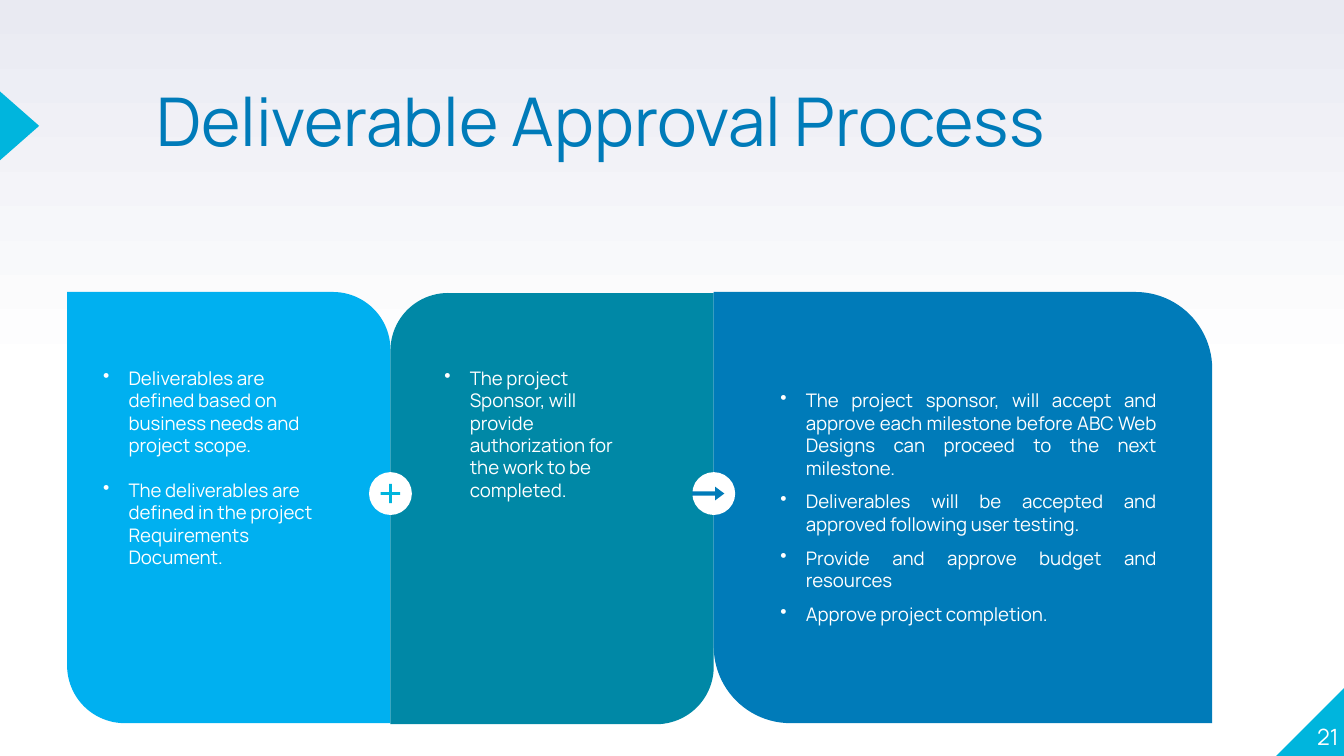
from dataclasses import dataclass

from lxml.etree import SubElement
from pptx import Presentation
from pptx.dml.color import RGBColor
from pptx.enum.shapes import MSO_SHAPE as Preset
from pptx.enum.text import MSO_ANCHOR as Anchor, PP_ALIGN as Align
from pptx.oxml.ns import qn
from pptx.util import Cm, Pt


@dataclass(frozen=True)
class Theme:
    font: str = "Manrope"
    white: str = "FFFFFF"
    mist: str = "E9EAF2"
    accent: str = "00B5DD"
    sky: str = "00B0F0"
    teal: str = "0088A6"
    blue: str = "007BB9"
    title_size: int = 36
    number_size: int = 12
    body_size: int = 10


THEME = Theme()

DEFINITION = [
    "Deliverables are defined based on business needs and project scope.",
    "The deliverables are defined in the project Requirements Document.",
]
AUTHORIZATION = [
    "The project Sponsor, will provide authorization for the work to be completed.",
]
ACCEPTANCE = [
    "The project sponsor, will accept and approve each milestone before ABC Web Designs "
    "can proceed to the next milestone.",
    "Deliverables will be accepted and approved following user testing.",
    "Provide and approve budget and resources",
    "Approve project completion.",
]


def paint_background(slide):
    fill = slide.background.fill
    fill.gradient()
    fill.gradient_angle = 90
    stops = [(0.5, THEME.white), (1, THEME.mist)]
    for stop, (position, color) in zip(fill.gradient_stops, stops):
        stop.position = position
        stop.color.rgb = RGBColor.from_string(color)


def add_filled_shape(slide, preset, box, color, adjustments=(), rotation=0):
    shape = slide.shapes.add_shape(preset, *map(Cm, box))
    shape.shadow.inherit = False
    shape.fill.solid()
    shape.fill.fore_color.rgb = RGBColor.from_string(color)
    shape.line.fill.background()
    shape.rotation = rotation
    for index, value in enumerate(adjustments):
        shape.adjustments[index] = value
    return shape


def add_bullet(paragraph, color, indent=0.48):
    properties = paragraph._p.get_or_add_pPr()
    properties.set("marL", str(Cm(indent)))
    properties.set("indent", str(-Cm(indent)))
    bullet_color = SubElement(properties, qn("a:buClr"))
    SubElement(bullet_color, qn("a:srgbClr"), val=color)
    SubElement(properties, qn("a:buChar"), char="•")


def add_text(slide, box, lines, size=THEME.body_size, color=THEME.white, align=Align.LEFT,
             anchor=Anchor.TOP, inset=0, spacing=None, gap=0, bulleted=False):
    shape = slide.shapes.add_textbox(*map(Cm, box))
    frame = shape.text_frame
    frame.word_wrap = True
    frame.vertical_anchor = anchor
    frame.margin_left = frame.margin_right = Cm(inset)
    frame.margin_top = frame.margin_bottom = Cm(inset)
    for index, line in enumerate(lines):
        paragraph = frame.add_paragraph() if index else frame.paragraphs[0]
        paragraph.alignment = align
        paragraph.line_spacing = spacing
        paragraph.space_after = Pt(gap)
        if bulleted:
            add_bullet(paragraph, color)
        run = paragraph.add_run()
        run.text = line
        run.font.name = THEME.font
        run.font.size = Pt(size)
        run.font.color.rgb = RGBColor.from_string(color)
    return shape


def add_panels(slide):
    rounding = 0.178
    left, top, height = 1.27, 5.52, 8.15
    panels = [
        (6.11, 0, THEME.sky, (0, rounding)),
        (6.11, 0.02, THEME.teal, (rounding, 0)),
        (9.42, 0, THEME.blue, (0, rounding)),
    ]
    edges = []
    for width, drop, color, corners in panels:
        add_filled_shape(slide, Preset.ROUND_2_DIAG_RECTANGLE,
                         (left, top + drop, width, height), color, corners)
        left += width
        edges.append(left)
    return edges[:2]


def add_badge(slide, center, preset, icon_box, color, adjustments):
    middle, diameter = 9.33, 0.81
    add_filled_shape(slide, Preset.OVAL,
                     (center - diameter / 2, middle - diameter / 2, diameter, diameter),
                     THEME.white)
    offset, width, height = icon_box
    add_filled_shape(slide, preset,
                     (center + offset, middle - height / 2, width, height), color, adjustments)


def main():
    presentation = Presentation()
    presentation.slide_width = Cm(25.4)
    presentation.slide_height = Cm(14.29)
    slide = presentation.slides.add_slide(presentation.slide_layouts[6])
    paint_background(slide)

    add_filled_shape(slide, Preset.RIGHT_TRIANGLE, (24.12, 12.99, 1.3, 1.3),
                     THEME.accent, rotation=270)
    add_filled_shape(slide, Preset.ISOSCELES_TRIANGLE, (-0.28, 2.01, 1.3, 0.74),
                     THEME.accent, rotation=90)
    add_text(slide, (2.95, 1.8, 18.36, 3), ["Deliverable Approval Process"],
             size=THEME.title_size, color=THEME.blue, spacing=0.8)
    add_text(slide, (24.03, 12.88, 1.27, 1.3), ["21"], size=THEME.number_size,
             align=Align.RIGHT, anchor=Anchor.BOTTOM)

    plus_center, arrow_center = add_panels(slide)
    add_badge(slide, plus_center, Preset.MATH_PLUS, (-0.25, 0.5, 0.5), THEME.accent, (0.1,))
    add_badge(slide, arrow_center, Preset.RIGHT_ARROW, (-0.41, 0.61, 0.26), THEME.blue,
              (0.32, 0.67))

    add_text(slide, (1.7, 6.68, 4.57, 6.63), DEFINITION, inset=0.25, gap=12, bulleted=True)
    add_text(slide, (8.15, 6.68, 4.19, 3.25), AUTHORIZATION, inset=0.25, bulleted=True)
    add_text(slide, (14.5, 7.11, 7.6, 4.9), ACCEPTANCE, inset=0.25, gap=6,
             align=Align.JUSTIFY, bulleted=True)

    presentation.save("out.pptx")


if __name__ == "__main__":
    main()
